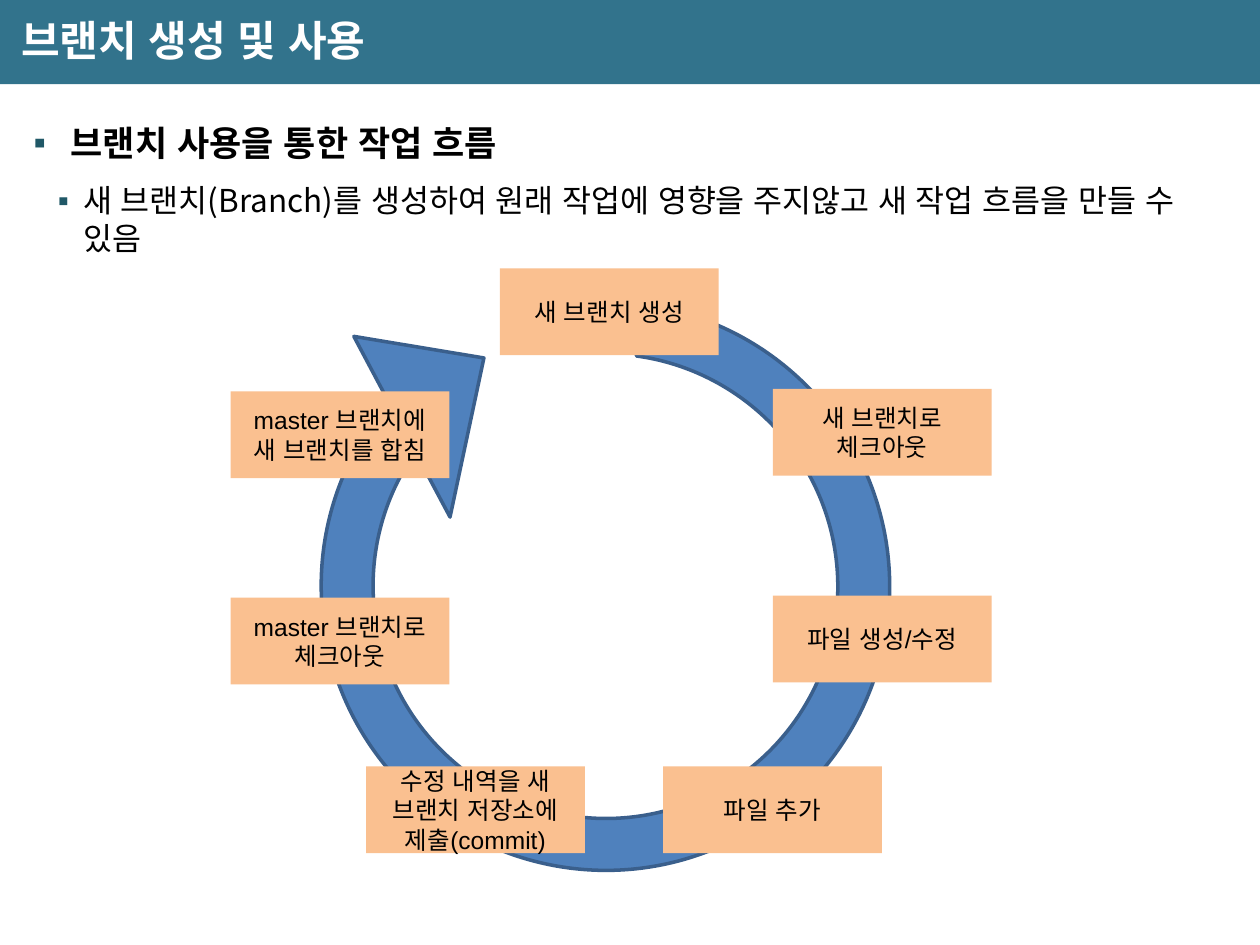
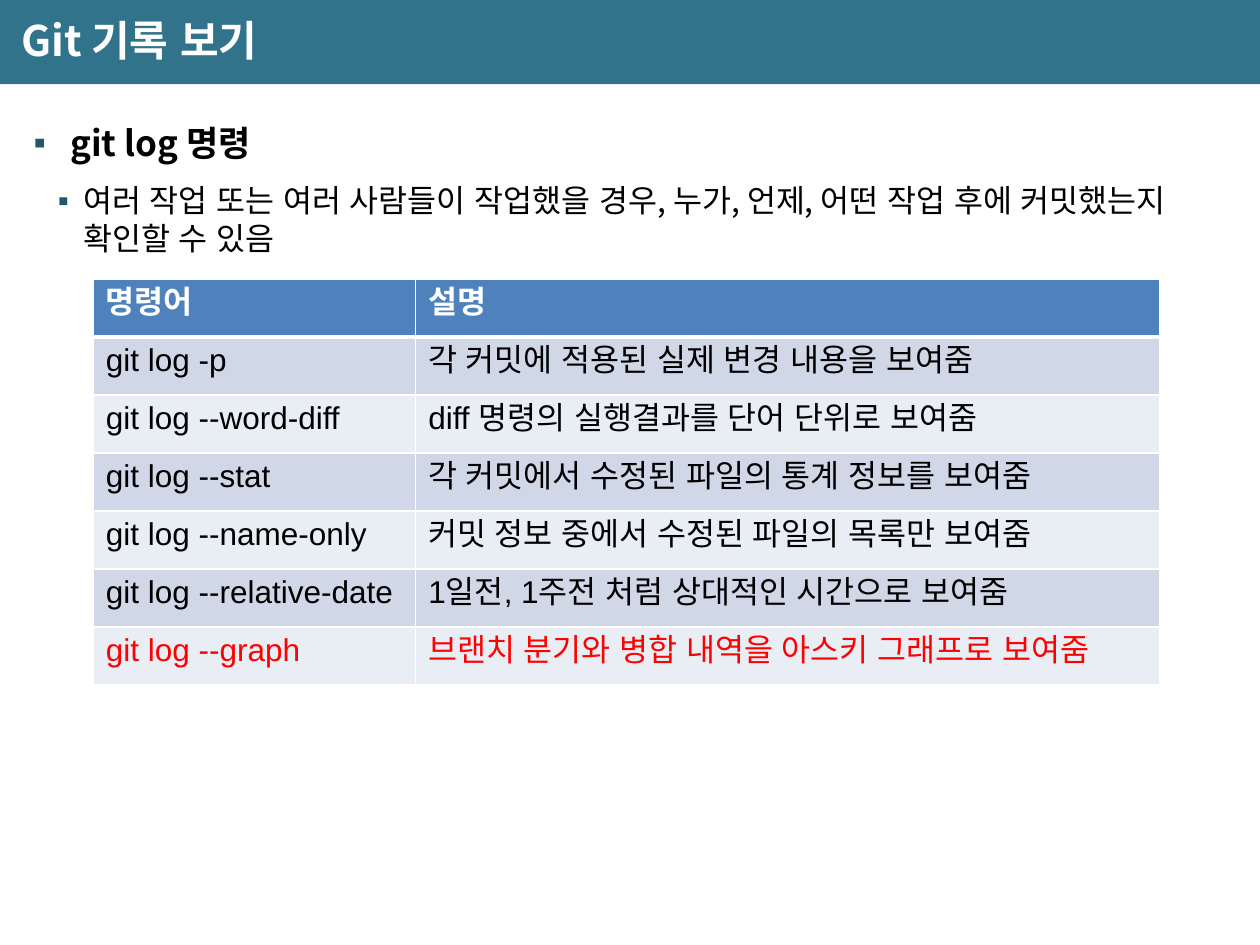
from lxml.etree import SubElement
from pptx import Presentation
from pptx.dml.color import RGBColor
from pptx.enum.shapes import MSO_SHAPE
from pptx.enum.text import MSO_ANCHOR, PP_ALIGN
from pptx.oxml.ns import qn
from pptx.util import Cm, Pt

# Colours
TEAL = RGBColor(0x32, 0x73, 0x8C)
DARK_TEAL = RGBColor(0x20, 0x58, 0x67)
BLUE = RGBColor(0x4F, 0x81, 0xBD)
DARK_BLUE = RGBColor(0x3A, 0x5F, 0x8C)
PEACH = RGBColor(0xFA, 0xC0, 0x90)
ROW_TINTS = (RGBColor(0xD0, 0xD8, 0xE8), RGBColor(0xE9, 0xED, 0xF4))
WHITE = RGBColor(0xFF, 0xFF, 0xFF)
BLACK = RGBColor(0, 0, 0)
RED = RGBColor(0xFF, 0, 0)

# Fonts
HEADING_FONT = "Noto Sans CJK KR"
PLAIN_FONT = "Arial"

# Workflow steps: left, top (cm), label
STEP_WIDTH, STEP_HEIGHT = 4.41, 1.75
STEPS = [
    (10.08, 5.41, "새 브랜치 생성"),
    (15.58, 7.84, "새 브랜치로 체크아웃"),
    (15.58, 12.01, "파일 생성/수정"),
    (13.37, 15.45, "파일 추가"),
    (7.38, 15.45, "수정 내역을 새 브랜치 저장소에 제출(commit)"),
    (4.65, 12.05, "master 브랜치로 체크아웃"),
    (4.65, 7.89, "master 브랜치에 새 브랜치를 합침"),
]

ROW_HEIGHT = 1.17
LOG_COMMANDS = [
    ("명령어", "설명"),
    ("git log -p", "각 커밋에 적용된 실제 변경 내용을 보여줌"),
    ("git log --word-diff", "diff 명령의 실행결과를 단어 단위로 보여줌"),
    ("git log --stat", "각 커밋에서 수정된 파일의 통계 정보를 보여줌"),
    ("git log --name-only", "커밋 정보 중에서 수정된 파일의 목록만 보여줌"),
    ("git log --relative-date", "1일전, 1주전 처럼 상대적인 시간으로 보여줌"),
    ("git log --graph", "브랜치 분기와 병합 내역을 아스키 그래프로 보여줌"),
]


def format_runs(para, size, color, font=PLAIN_FONT, bold=False):
    for span in para.runs:
        span.font.size = Pt(size)
        span.font.bold = bold
        span.font.color.rgb = color
        span.font.name = font
        east_asian = SubElement(span.font._element, qn("a:ea"))
        east_asian.set("typeface", PLAIN_FONT)


def add_filled_shape(page, kind, left, top, width, height, fill):
    shape = page.shapes.add_shape(kind, Cm(left), Cm(top), Cm(width), Cm(height))
    shape.shadow.inherit = False
    shape.fill.solid()
    shape.fill.fore_color.rgb = fill
    shape.line.fill.background()
    return shape


def add_text_box(page, left, top, width, height):
    box = page.shapes.add_textbox(Cm(left), Cm(top), Cm(width), Cm(height))
    box.text_frame.word_wrap = True
    return box.text_frame


def add_bullet(para, left, hanging):
    properties = para._p.get_or_add_pPr()
    properties.set("marL", str(Cm(left)))
    properties.set("indent", str(-Cm(hanging)))
    color = SubElement(properties, qn("a:buClr"))
    SubElement(color, qn("a:srgbClr")).set("val", str(DARK_TEAL))
    SubElement(properties, qn("a:buFont")).set("typeface", PLAIN_FONT)
    SubElement(properties, qn("a:buChar")).set("char", "▪")


def add_page(deck, title, heading, detail):
    """Add a page with the title band and its two bullet lines."""
    page = deck.slides.add_slide(deck.slide_layouts[6])
    add_filled_shape(page, MSO_SHAPE.RECTANGLE, 0, -0.05, 25.4, 1.75, TEAL)

    # Title
    frame = add_text_box(page, 0.18, 0.15, 21.62, 1.32)
    frame.vertical_anchor = MSO_ANCHOR.MIDDLE
    frame.text = title
    format_runs(frame.paragraphs[0], 24, WHITE, HEADING_FONT, True)

    # Bullets
    frame = add_text_box(page, 0.18, 2.16, 24.89, 3)
    para = frame.paragraphs[0]
    para.text = heading
    para.line_spacing = 1.2
    para.space_after = Pt(4)
    add_bullet(para, 0.99, 0.74)
    format_runs(para, 20, BLACK, HEADING_FONT, True)

    para = frame.add_paragraph()
    para.text = detail
    para.level = 1
    para.space_before = Pt(6)
    add_bullet(para, 1.25, 0.51)
    format_runs(para, 18, BLACK, HEADING_FONT)
    return page


def add_cycle_arrow(page):
    arrow = add_filled_shape(page, MSO_SHAPE.CIRCULAR_ARROW,
                             4.93, 4.55, 14.55, 14.53, BLUE)
    arrow.line.color.rgb = DARK_BLUE
    arrow.line.width = Pt(2)
    arrow.rotation = 222.6
    # Band width, head angle, end angle, start angle, head width (percent)
    for index, percent in enumerate((7.2, 1433.5, 21328.3, 3303.6, 14.2)):
        arrow.adjustments[index] = percent / 100


def add_step(page, left, top, label):
    box = add_filled_shape(page, MSO_SHAPE.RECTANGLE, left, top,
                           STEP_WIDTH, STEP_HEIGHT, PEACH)
    frame = box.text_frame
    frame.word_wrap = True
    frame.vertical_anchor = MSO_ANCHOR.MIDDLE
    frame.text = label
    para = frame.paragraphs[0]
    para.alignment = PP_ALIGN.CENTER
    format_runs(para, 14, BLACK)


def set_borders(cell, top, bottom):
    properties = cell._tc.get_or_add_tcPr()
    for side, width in (("L", 1), ("R", 1), ("T", top), ("B", bottom)):
        line = SubElement(properties, qn(f"a:ln{side}"), w=str(Pt(width)))
        fill = SubElement(line, qn("a:solidFill"))
        SubElement(fill, qn("a:srgbClr")).set("val", str(WHITE))


def add_command_table(page, rows):
    frame = page.shapes.add_table(len(rows), 2, Cm(1.88), Cm(5.62),
                                  Cm(21.5), Cm(ROW_HEIGHT * len(rows)))
    table = frame.table
    table.columns[0].width = Cm(6.5)
    table.columns[1].width = Cm(15)
    for row, texts in enumerate(rows):
        header, last = row == 0, row == len(rows) - 1
        color = WHITE if header else RED if last else BLACK
        for column, text in enumerate(texts):
            cell = table.cell(row, column)
            set_borders(cell, top=3 if row == 1 else 1, bottom=3 if header else 1)
            cell.fill.solid()
            cell.fill.fore_color.rgb = BLUE if header else ROW_TINTS[(row - 1) % 2]
            cell.text_frame.text = text
            format_runs(cell.text_frame.paragraphs[0], 18, color, bold=header)


def main():
    deck = Presentation()
    deck.slide_width, deck.slide_height = Cm(25.4), Cm(19.05)

    # Branch workflow
    page = add_page(
        deck, "브랜치 생성 및 사용", "브랜치 사용을 통한 작업 흐름",
        "새 브랜치(Branch)를 생성하여 원래 작업에 영향을 주지않고 새 작업 흐름을 만들 수 있음")
    add_cycle_arrow(page)
    for left, top, label in STEPS:
        add_step(page, left, top, label)

    # Log commands
    page = add_page(
        deck, "Git 기록 보기", "git log 명령",
        "여러 작업 또는 여러 사람들이 작업했을 경우, 누가, 언제, 어떤 작업 후에 커밋했는지 확인할 수 있음")
    add_command_table(page, LOG_COMMANDS)

    deck.save("out.pptx")


if __name__ == "__main__":
    main()
